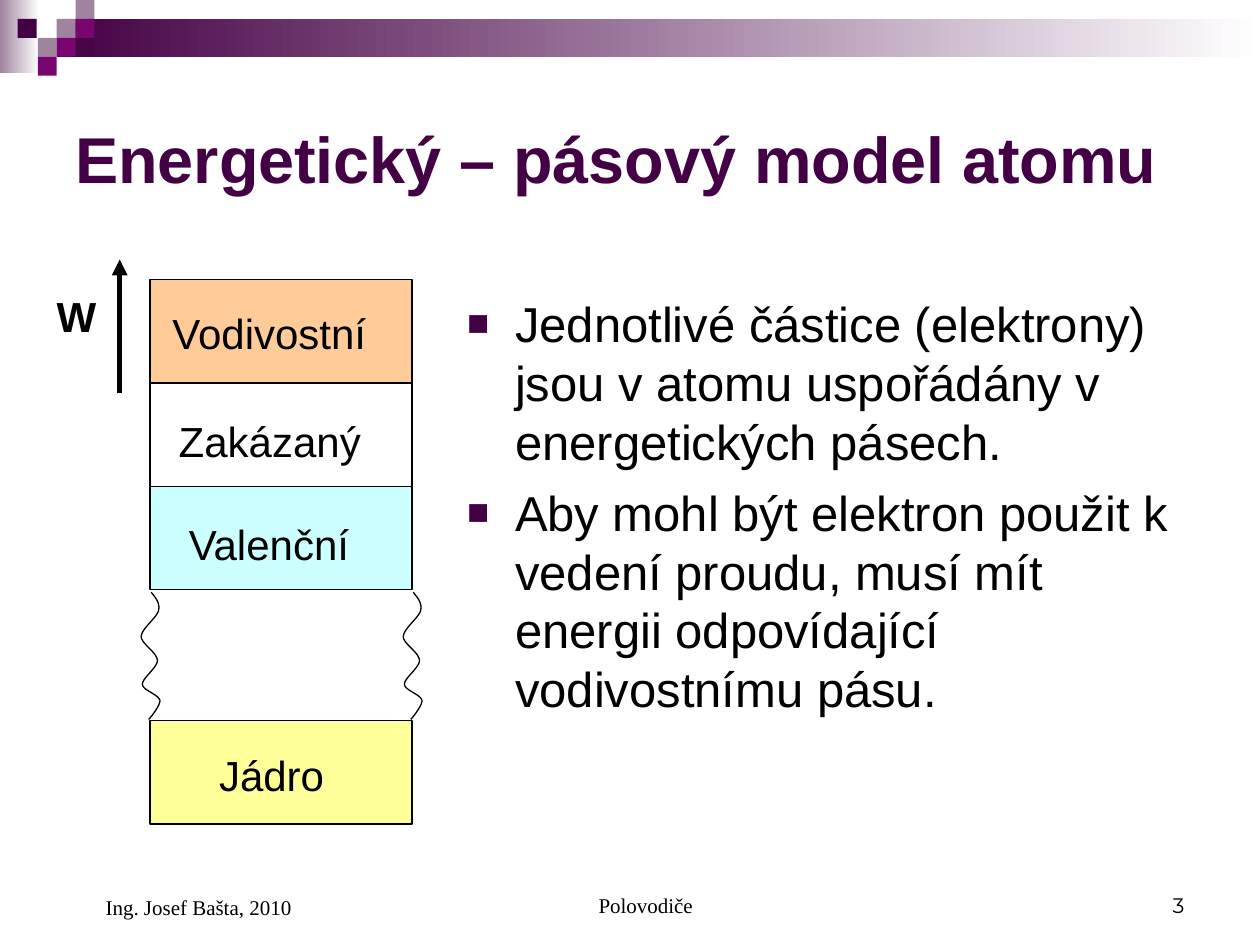
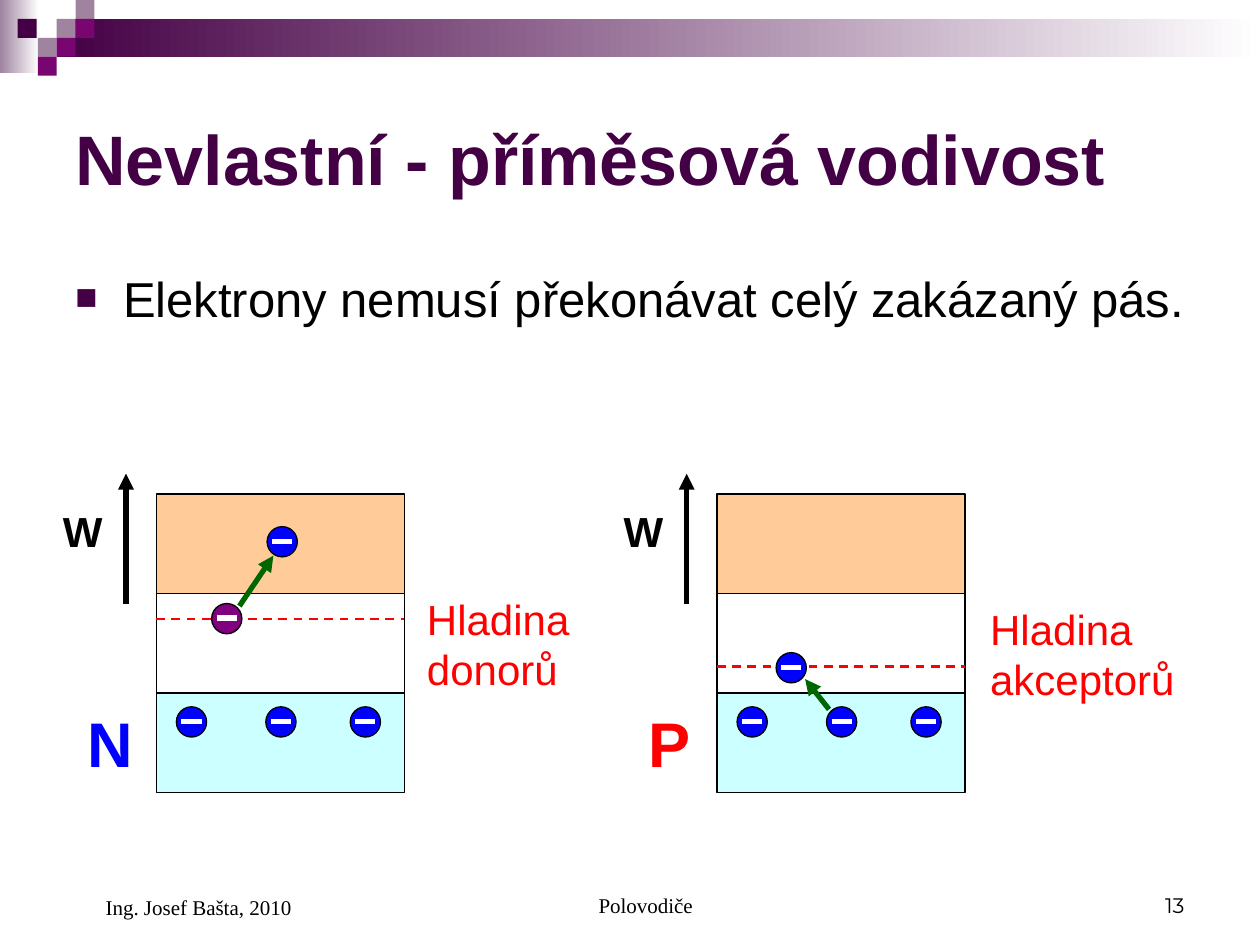
from lxml import etree
from pptx import Presentation
from pptx import util as u
from pptx.dml.color import RGBColor
from pptx.enum import dml, shapes, text
from pptx.oxml.ns import qn

Inches = u.Inches

PLUM = RGBColor(0x44, 0x00, 0x44)
MAGENTA = RGBColor(0x79, 0x05, 0x71)
MAUVE = RGBColor(0x9F, 0x83, 0x9F)
WHITE = RGBColor(0xFF, 0xFF, 0xFF)
BLACK = RGBColor(0x00, 0x00, 0x00)
ORANGE = RGBColor(0xFF, 0xCC, 0x99)
CYAN = RGBColor(0xCC, 0xFF, 0xFF)
YELLOW = RGBColor(0xFF, 0xFF, 0x99)
BLUE = RGBColor(0x00, 0x00, 0xFF)
PURPLE = RGBColor(0x80, 0x00, 0x80)
RED = RGBColor(0xFF, 0x00, 0x00)
GREEN = RGBColor(0x00, 0x66, 0x00)

SANS, SERIF, NUMBER_FONT = "Arial", "Times New Roman", "Montserrat"
RECTANGLE = shapes.MSO_SHAPE.RECTANGLE
OVAL = shapes.MSO_SHAPE.OVAL
TOP, MIDDLE, BOTTOM = (text.MSO_ANCHOR.TOP, text.MSO_ANCHOR.MIDDLE,
                       text.MSO_ANCHOR.BOTTOM)
LEFT, CENTER, RIGHT = text.PP_ALIGN.LEFT, text.PP_ALIGN.CENTER, text.PP_ALIGN.RIGHT

# Corner mosaic: left, top, colour
TILE = 0.15
MOSAIC = [(0.45, 0.15, MAUVE), (0.6, 0, MAUVE), (0.6, 0.15, MAGENTA),
          (0.3, 0.3, MAUVE), (0.14, 0.15, PLUM), (0.45, 0.3, MAGENTA),
          (0.3, 0.45, MAGENTA)]

# Broken edge between the bands and the nucleus: a chain of Bézier curves
EDGE_START = (1.2, 4.7)
EDGE_CURVES = [
    ((1.23, 4.74), (1.27, 4.78), (1.26, 4.84)),
    ((1.25, 4.9), (1.13, 4.98), (1.12, 5.05)),
    ((1.12, 5.11), (1.24, 5.17), (1.25, 5.24)),
    ((1.25, 5.3), (1.13, 5.38), (1.13, 5.43)),
    ((1.13, 5.48), (1.26, 5.51), (1.27, 5.56)),
    ((1.27, 5.6), (1.2, 5.69), (1.18, 5.71)),
]


def curve_points(start, curves, steps=10):
    points = [start]
    for first, second, end in curves:
        origin = points[-1]
        for step in range(1, steps + 1):
            t = step / steps
            weights = ((1 - t) ** 3, 3 * t * (1 - t) ** 2, 3 * t * t * (1 - t), t ** 3)
            corners = (origin, first, second, end)
            points.append(tuple(sum(w * corner[axis] for w, corner in zip(weights, corners))
                                for axis in (0, 1)))
    return points


class Deck:
    def __init__(self):
        self.presentation = Presentation()
        self.presentation.slide_width = Inches(10)
        self.presentation.slide_height = Inches(7.5)
        self.slide = None

    # Slide frame
    def new_slide(self, title, number, title_size=40):
        self.slide = self.presentation.slides.add_slide(
            self.presentation.slide_layouts[6])
        self.gradient(0, 0, 0.31, 0.58, MAUVE)
        self.gradient(0.45, 0.15, 9.55, 0.3, PLUM)
        for left, top, color in MOSAIC:
            self.shape(RECTANGLE, left, top, TILE, TILE, color, outlined=False)
        self.label(title, 0.5, 0.5, 9, 1.5, title_size, PLUM, bold=True, anchor=MIDDLE)
        self.footer("Ing. Josef Bašta, 2010", 0.5, 2.33, height=0.52, indent=0.24)
        self.footer("Polovodiče", 3.42, 3.17, align=CENTER, indent=0.24)
        self.footer(number, 7.17, 2.33, align=RIGHT, font=NUMBER_FONT)

    def footer(self, words, left, width, height=0.5, align=LEFT, indent=0, font=SERIF):
        self.label(words, left, 6.83, width, height, 12, font=font, anchor=BOTTOM,
                   align=align, indent=indent)

    # Basic elements
    def shape(self, kind, left, top, width, height, color, outlined=True):
        shape = self.slide.shapes.add_shape(
            kind, Inches(left), Inches(top), Inches(width), Inches(height))
        shape.shadow.inherit = False
        shape.fill.solid()
        shape.fill.fore_color.rgb = color
        self.outline(shape, outlined)
        return shape

    def outline(self, shape, outlined=True):
        if outlined:
            shape.line.color.rgb = BLACK
            shape.line.width = u.Pt(0.75)
        else:
            shape.line.fill.background()

    def gradient(self, left, top, width, height, color):
        shape = self.shape(RECTANGLE, left, top, width, height, color, outlined=False)
        shape.fill.gradient()
        shape.fill.gradient_angle = 0
        for stop, stop_color in zip(shape.fill.gradient_stops, (color, WHITE)):
            stop.color.rgb = stop_color

    def line(self, start, end, color, width=3.0, arrow=False, dashed=False):
        connector = self.slide.shapes.add_connector(
            shapes.MSO_CONNECTOR.STRAIGHT, *(Inches(value) for value in start + end))
        connector.line.color.rgb = color
        connector.line.width = u.Pt(width)
        if dashed:
            connector.line.dash_style = dml.MSO_LINE.DASH
        properties = connector.element.spPr
        if arrow:
            etree.SubElement(properties.find(qn("a:ln")), qn("a:tailEnd"), type="triangle")
        etree.SubElement(properties, qn("a:effectLst"))

    def polyline(self, points):
        start, *rest = [(Inches(x), Inches(y)) for x, y in points]
        builder = self.slide.shapes.build_freeform(*start)
        builder.add_line_segments(rest, close=False)
        shape = builder.convert_to_shape()
        shape.shadow.inherit = False
        shape.fill.background()
        self.outline(shape)

    # Text
    def text_frame(self, left, top, width, height, anchor=TOP):
        box = self.slide.shapes.add_textbox(
            Inches(left), Inches(top), Inches(width), Inches(height))
        box.text_frame.word_wrap = True
        box.text_frame.vertical_anchor = anchor
        return box.text_frame

    def run(self, paragraph, words, size, color=BLACK, bold=False, font=SANS):
        run = paragraph.add_run()
        run.text = words
        run.font.size = u.Pt(size)
        run.font.name = font
        run.font.bold = bold
        run.font.color.rgb = color

    def label(self, words, left, top, width, height=0.5, size=24, color=BLACK,
              bold=False, font=SANS, anchor=TOP, align=LEFT, indent=0):
        paragraph = self.text_frame(left, top, width, height, anchor).paragraphs[0]
        paragraph.alignment = align
        if indent:
            paragraph._p.get_or_add_pPr().set("marL", str(Inches(indent)))
        self.run(paragraph, words, size, color, bold, font)

    def bullets(self, items, left, top, width, height, spacing=1.0):
        frame = self.text_frame(left, top, width, height)
        for index, words in enumerate(items):
            paragraph = frame.add_paragraph() if index else frame.paragraphs[0]
            properties = paragraph._p.get_or_add_pPr()
            properties.set("marL", str(Inches(0.38)))
            properties.set("indent", str(Inches(-0.38)))
            color = etree.SubElement(properties, qn("a:buClr"))
            etree.SubElement(color, qn("a:srgbClr"), val=str(PLUM))
            etree.SubElement(properties, qn("a:buSzPct"), val="75000")
            etree.SubElement(properties, qn("a:buFont"), typeface=SANS)
            etree.SubElement(properties, qn("a:buChar"), char="■")
            paragraph.line_spacing = spacing
            if index:
                paragraph.space_before = u.Pt(7)
            self.run(paragraph, words, 28)

    # Band diagram
    def bands(self, left, top, width, height):
        for index, color in enumerate((ORANGE, WHITE, CYAN)):
            self.shape(RECTANGLE, left, top + index * height, width, height, color)
        axis = left - 0.24
        self.line((axis, top + height + 0.08), (axis, top - 0.16), BLACK, arrow=True)
        self.label("W", left - 0.84, top + 0.04, 0.58, bold=True)

    def electron(self, left, top, color=BLUE):
        self.shape(OVAL, left, top, 0.24, 0.24, color)
        middle = top + 0.115
        self.line((left + 0.04, middle), (left + 0.2, middle), WHITE)

    def semiconductor(self, left, letter, color, level):
        top, width, height = 3.92, 1.97, 0.79
        self.bands(left, top, width, height)
        for offset in (0.16, 0.87, 1.54):
            self.electron(left + offset, 5.61)
        self.line((left, level), (left + width, level), RED, 1.25, dashed=True)
        self.label(letter, left - 0.64, 5.54, 0.56, 0.7, 36, color, bold=True)


def band_model(deck):
    deck.new_slide("Energetický – pásový model atomu", "3", title_size=37)
    deck.bullets(["Jednotlivé částice (elektrony) jsou v atomu uspořádány v "
                  "energetických pásech.",
                  "Aby mohl být elektron použit k vedení proudu, musí mít energii "
                  "odpovídající vodivostnímu pásu."], 3.61, 2.28, 5.79, 4.25)
    left, width, height = 1.19, 2.08, 0.82
    deck.bands(left, 2.22, width, height)
    deck.shape(RECTANGLE, left, 5.72, width, height, YELLOW)
    for name, name_left, name_top in (("Vodivostní", 1.27, 2.39), ("Zakázaný", 1.32, 3.25),
                                      ("Valenční", 1.4, 4.07), ("Jádro", 1.64, 5.9)):
        deck.label(name, name_left, name_top, 2)
    edge = curve_points(EDGE_START, EDGE_CURVES)
    for shift in (0, width):
        deck.polyline([(x + shift, y) for x, y in edge])


def impurity_conduction(deck):
    deck.new_slide("Nevlastní - příměsová vodivost", "13")
    deck.bullets(["Elektrony nemusí překonávat celý zakázaný pás."],
                 0.5, 2.17, 9, 0.93, spacing=0.8)

    # Donor level: an electron rises into the conduction band
    deck.semiconductor(1.24, "N", BLUE, level=4.91)
    deck.electron(1.68, 4.79, PURPLE)
    deck.electron(2.12, 4.18)
    deck.line((1.9, 4.81), (2.17, 4.41), GREEN, arrow=True)
    deck.label("Hladina donorů", 3.29, 4.66, 1.52, 0.9, color=RED)

    # Acceptor level: an electron leaves the valence band
    deck.semiconductor(5.69, "P", RED, level=5.29)
    deck.line((6.58, 5.63), (6.39, 5.39), GREEN, arrow=True)
    deck.electron(6.16, 5.18)
    deck.label("Hladina akceptorů", 7.76, 4.74, 1.95, 0.9, color=RED)


def main():
    deck = Deck()
    band_model(deck)
    impurity_conduction(deck)
    deck.presentation.save("out.pptx")


if __name__ == "__main__":
    main()
